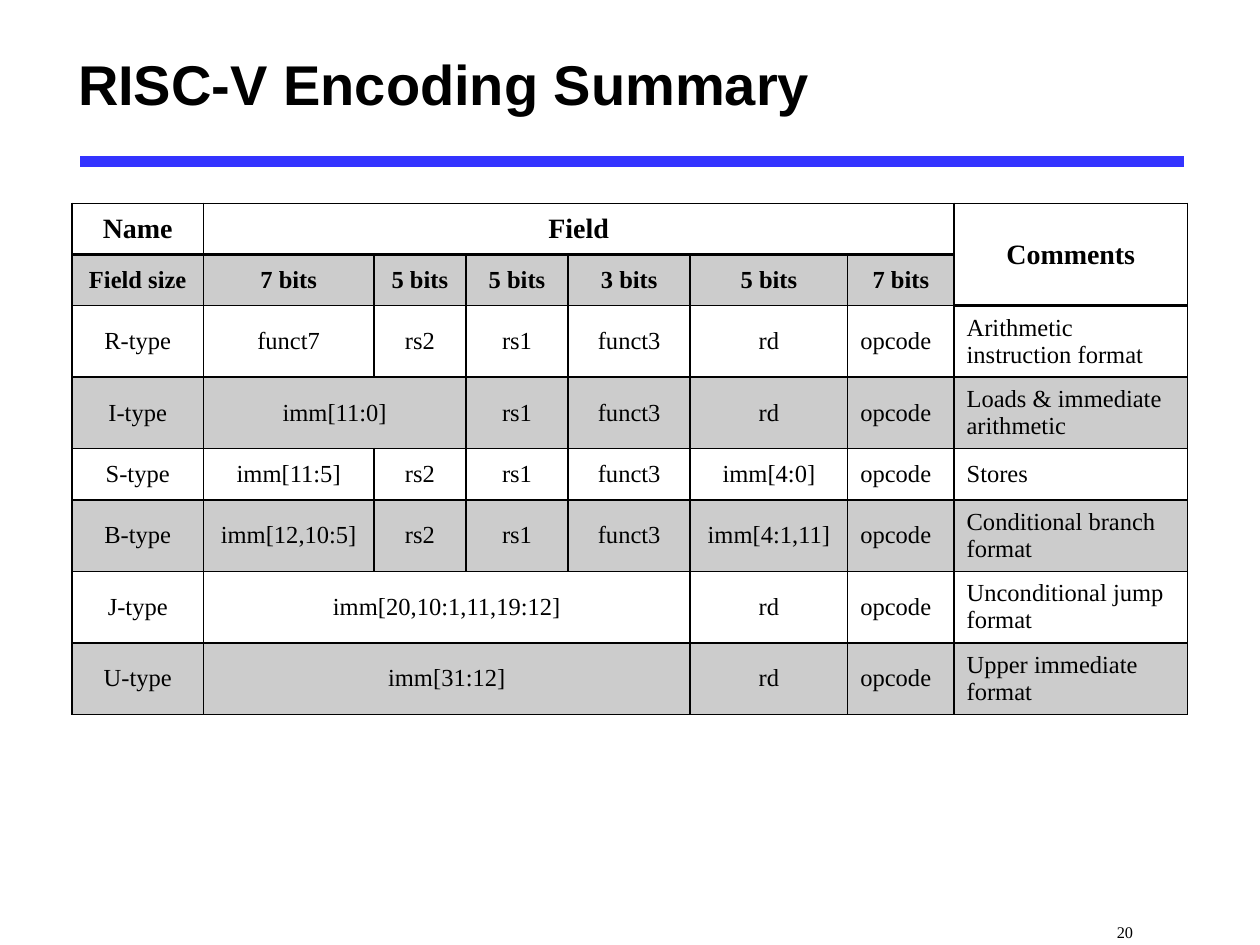
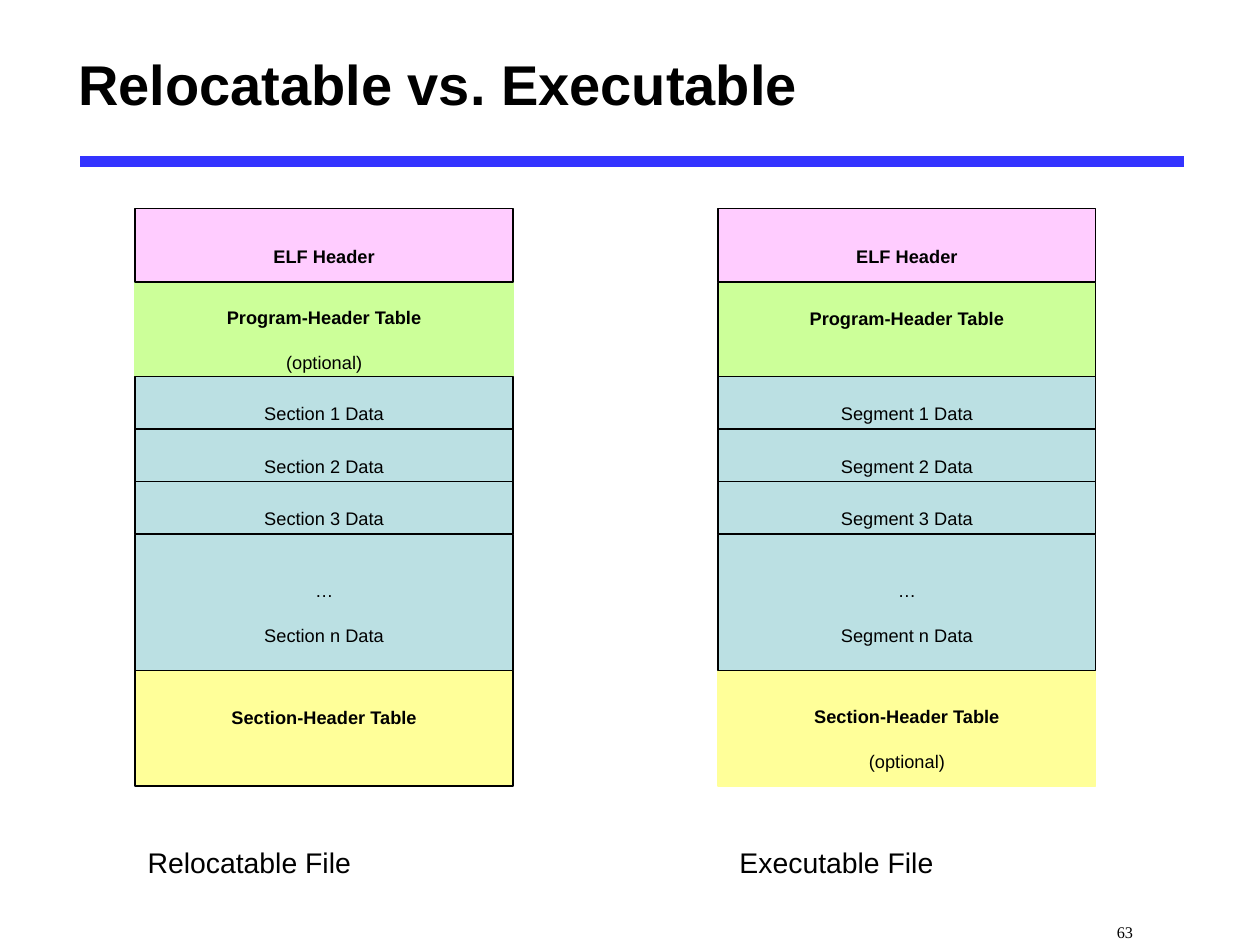
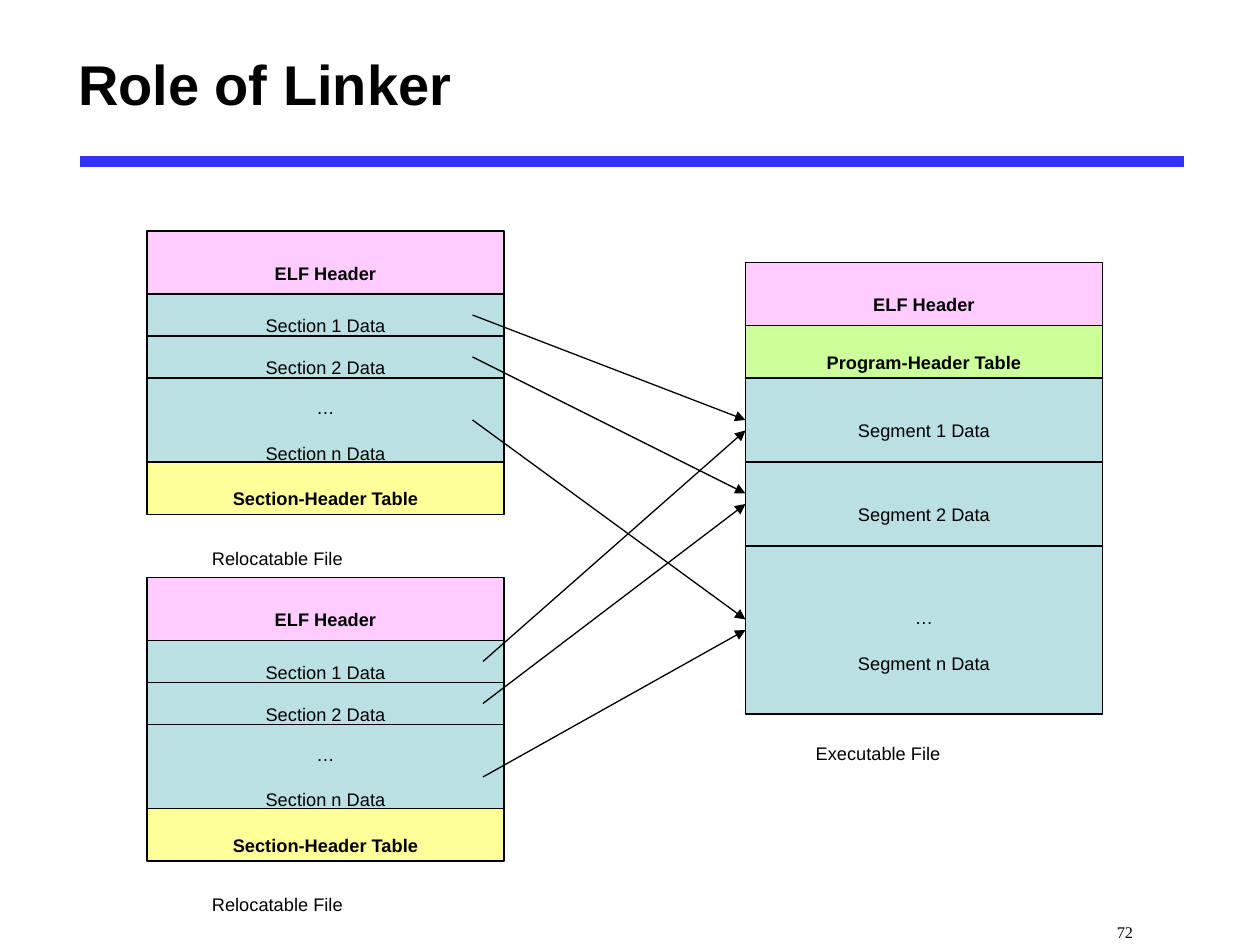
from dataclasses import dataclass

from pptx import Presentation
from pptx.dml.color import RGBColor
from pptx.enum.shapes import MSO_CONNECTOR, MSO_SHAPE
from pptx.enum.text import MSO_ANCHOR as Anchor, PP_ALIGN as Align
from pptx.oxml.ns import qn
from pptx.oxml.xmlchemy import OxmlElement as new_element
from pptx.util import Emu, Pt

# Shared look
PX = 9525  # 96 px to the inch
SANS, SERIF = "Arial", "Times New Roman"
BLACK, BLUE, GRAY = "000000", "3333FF", "CCCCCC"
PINK, GREEN, TEAL, YELLOW = "FFCCFF", "CCFF99", "BBE0E3", "FFFF99"
NOTE_LINE = 33  # height of a second line in a block

# Markers for table cells joined to a neighbour
LEFT, UP = "<", "^"


@dataclass
class Block:
    lines: tuple[str, ...]
    height: int
    fill: str = TEAL
    header: bool = False
    optional: bool = False
    space_below: int = 0


@dataclass
class Stack:
    left: int
    top: int
    width: int
    blocks: list[Block]


@dataclass
class Caption:
    text: str
    left: int
    top: int
    width: int
    height: int
    size: int


@dataclass
class Arrow:
    start: tuple[int, int]
    end: tuple[int, int]


def px(value: int) -> Emu:
    return Emu(value * PX)


def color(value: str) -> RGBColor:
    return RGBColor.from_string(value)


def style(para, size: float, name: str = SANS, bold: bool = False,
          lowered: bool = False) -> None:
    font = para.font
    font.size, font.name, font.bold = Pt(size), name, bold
    font.color.rgb = color(BLACK)
    if lowered:
        para._p.get_or_add_pPr().get_or_add_defRPr().set("baseline", "-25000")


def add_text(page, text: str, left: int, top: int, width: int, height: int,
             size: int, name: str = SANS, bold: bool = False,
             lowered: bool = True, anchor=Anchor.TOP):
    box = page.shapes.add_textbox(px(left), px(top), px(width), px(height))
    frame = box.text_frame
    frame.word_wrap = True
    frame.vertical_anchor = anchor
    para = frame.paragraphs[0]
    para.text = text
    style(para, size, name, bold, lowered)
    return frame


def add_line(page, start: tuple[int, int], end: tuple[int, int],
             value: str, width: float):
    line = page.shapes.add_connector(
        MSO_CONNECTOR.STRAIGHT, *map(px, start), *map(px, end))
    line.line.color.rgb = color(value)
    line.line.width = Pt(width)
    line._element.spPr.append(new_element("a:effectLst"))
    return line


def add_arrow(page, arrow: Arrow) -> None:
    line = add_line(page, arrow.start, arrow.end, BLACK, 0.75)
    head = new_element("a:tailEnd")
    head.set("type", "triangle")
    line._element.spPr.find(qn("a:ln")).append(head)


def add_page(deck, title: str, number: int):
    page = deck.slides.add_slide(deck.slide_layouts[6])
    add_line(page, (61, 123), (902, 123), BLUE, 6)
    add_text(page, title, 50, 10, 870, 107, 32, bold=True, lowered=False,
             anchor=Anchor.MIDDLE)
    footer = add_text(page, str(number), 758, 684, 202, 36, 16, SERIF)
    footer.margin_left = px(93)
    return page


def add_caption(page, caption: Caption) -> None:
    add_text(page, caption.text, caption.left, caption.top, caption.width,
             caption.height, caption.size)


# File layout stacks
def add_block(page, block: Block, left: int, top: int, width: int) -> None:
    shape = page.shapes.add_shape(
        MSO_SHAPE.RECTANGLE, px(left), px(top), px(width), px(block.height))
    shape.shadow.inherit = False
    shape.fill.solid()
    shape.fill.fore_color.rgb = color(block.fill)
    shape.line.color.rgb = color(block.fill if block.optional else BLACK)
    shape.line.width = Pt(0.75)
    frame = shape.text_frame
    frame.word_wrap = False
    frame.vertical_anchor = Anchor.MIDDLE
    frame.margin_bottom = px(5 + block.space_below)
    for index, text in enumerate(block.lines):
        para = frame.add_paragraph() if index else frame.paragraphs[0]
        para.text = text
        para.alignment = Align.CENTER
        if index:
            para.space_before = Pt(1.5)
        style(para, 18, bold=block.header and index == 0, lowered=True)


def add_stack(page, stack: Stack) -> None:
    placed, top = [], stack.top
    for block in stack.blocks:
        placed.append((block, top))
        top += block.height
    # Optional blocks go first so that neighbours' black edges stay on top
    for block, top in sorted(placed, key=lambda item: not item[0].optional):
        add_block(page, block, stack.left, top, stack.width)


def elf_header(height: int) -> Block:
    return Block(("ELF Header",), height, PINK, header=True)


def table_block(name: str, height: int, fill: str, optional: bool = False,
                space_below: int = 0) -> Block:
    lines = (name, "(optional)") if optional else (name,)
    return Block(lines, height, fill, True, optional, space_below)


def data_blocks(kind: str, heights: list[int], last: int) -> list[Block]:
    numbered = [Block((f"{kind} {number} Data",), height)
                for number, height in enumerate(heights, 1)]
    return numbered + [Block(("…", f"{kind} n Data"), last)]


# Encoding table
COLUMNS = [100, 130, 70, 78, 93, 120, 81, 178]
ROW_HEIGHT = 39
ENCODING = [
    ["Name", "Field", LEFT, LEFT, LEFT, LEFT, LEFT, "Comments"],
    ["Field size", "7 bits", "5 bits", "5 bits", "3 bits", "5 bits", "7 bits", UP],
    ["R-type", "funct7", "rs2", "rs1", "funct3", "rd", "opcode",
     "Arithmetic instruction format"],
    ["I-type", "imm[11:0]", LEFT, "rs1", "funct3", "rd", "opcode",
     "Loads & immediate arithmetic"],
    ["S-type", "imm[11:5]", "rs2", "rs1", "funct3", "imm[4:0]", "opcode", "Stores"],
    ["B-type", "imm[12,10:5]", "rs2", "rs1", "funct3", "imm[4:1,11]", "opcode",
     "Conditional branch format"],
    ["J-type", "imm[20,10:1,11,19:12]", LEFT, LEFT, LEFT, "rd", "opcode",
     "Unconditional jump format"],
    ["U-type", "imm[31:12]", LEFT, LEFT, LEFT, "rd", "opcode",
     "Upper immediate format"],
]


def add_border(cell, side: str, width: float) -> None:
    line = new_element(f"a:{side}")
    line.set("w", str(Pt(width)))
    fill = new_element("a:solidFill")
    value = new_element("a:srgbClr")
    value.set("val", BLACK)
    fill.append(value)
    line.append(fill)
    cell._tc.get_or_add_tcPr().append(line)


def format_cell(cell, row: int, column: int) -> None:
    comments = column == len(COLUMNS) - 1
    header_end = 1 if comments else 0
    add_border(cell, "lnL", 1)
    add_border(cell, "lnR", 1)
    add_border(cell, "lnT", 2 if row == header_end + 1 else 1)
    add_border(cell, "lnB", 2 if row <= header_end else 1)
    if row % 2 and not (comments and row == 1):
        cell.fill.solid()
        cell.fill.fore_color.rgb = color(GRAY)
    else:
        cell.fill.background()


def add_encoding_table(page) -> None:
    table = page.shapes.add_table(
        len(ENCODING), len(COLUMNS), px(55), px(155),
        px(sum(COLUMNS)), px(ROW_HEIGHT * len(ENCODING))).table
    table.first_row = table.horz_banding = False
    for column, width in zip(table.columns, COLUMNS):
        column.width = px(width)
    for row, texts in enumerate(ENCODING):
        table.rows[row].height = px(ROW_HEIGHT)
        for column, text in enumerate(texts):
            cell = table.cell(row, column)
            format_cell(cell, row, column)
            if text in (LEFT, UP):
                continue
            right, bottom = column, row
            while right + 1 < len(COLUMNS) and texts[right + 1] == LEFT:
                right += 1
            while bottom + 1 < len(ENCODING) and ENCODING[bottom + 1][column] == UP:
                bottom += 1
            if (right, bottom) != (column, row):
                cell.merge(table.cell(bottom, right))
            cell.vertical_anchor = Anchor.MIDDLE
            para = cell.text_frame.paragraphs[0]
            para.text = text
            centered = row < 2 or column < 6
            para.alignment = Align.CENTER if centered else Align.LEFT
            style(para, 16 if row == 0 else 14, SERIF, bold=row < 2)


# Slides
def build_encoding(deck) -> None:
    add_encoding_table(add_page(deck, "RISC-V Encoding Summary", 20))


def build_comparison(deck) -> None:
    page = add_page(deck, "Relocatable vs. Executable", 63)
    for kind, left, relocatable in (("Segment", 547, False), ("Section", 103, True)):
        add_stack(page, Stack(left, 159, 288, [
            elf_header(56),
            table_block("Program-Header Table", 72, GREEN, relocatable,
                        0 if relocatable else NOTE_LINE),
            *data_blocks(kind, [40] * 3, 104),
            table_block("Section-Header Table", 88, YELLOW, not relocatable,
                        NOTE_LINE if relocatable else 0),
        ]))
    add_caption(page, Caption("Relocatable File", 103, 614, 290, 55, 28))
    add_caption(page, Caption("Executable File", 554, 614, 275, 55, 28))


def build_linker(deck) -> None:
    page = add_page(deck, "Role of Linker", 72)
    for top in (176, 440):
        add_stack(page, Stack(112, top, 272, [
            elf_header(48),
            *data_blocks("Section", [32, 32], 64),
            table_block("Section-Header Table", 40, YELLOW),
        ]))
        add_caption(page, Caption("Relocatable File", 152, top + 220, 193, 38, 18))
    add_stack(page, Stack(568, 200, 272, [
        elf_header(48),
        table_block("Program-Header Table", 40, GREEN),
        *data_blocks("Segment", [64, 64], 128),
    ]))
    add_caption(page, Caption("Executable File", 612, 545, 184, 38, 18))

    # Each section of both inputs goes to its segment
    for first, second, target in ((240, 504, 320), (272, 536, 376), (320, 592, 472)):
        add_arrow(page, Arrow((360, first), (568, target)))
        add_arrow(page, Arrow((368, second), (568, target + 8)))


def main() -> None:
    deck = Presentation()
    deck.slide_width, deck.slide_height = px(960), px(720)
    build_encoding(deck)
    build_comparison(deck)
    build_linker(deck)
    deck.save("out.pptx")


if __name__ == "__main__":
    main()
